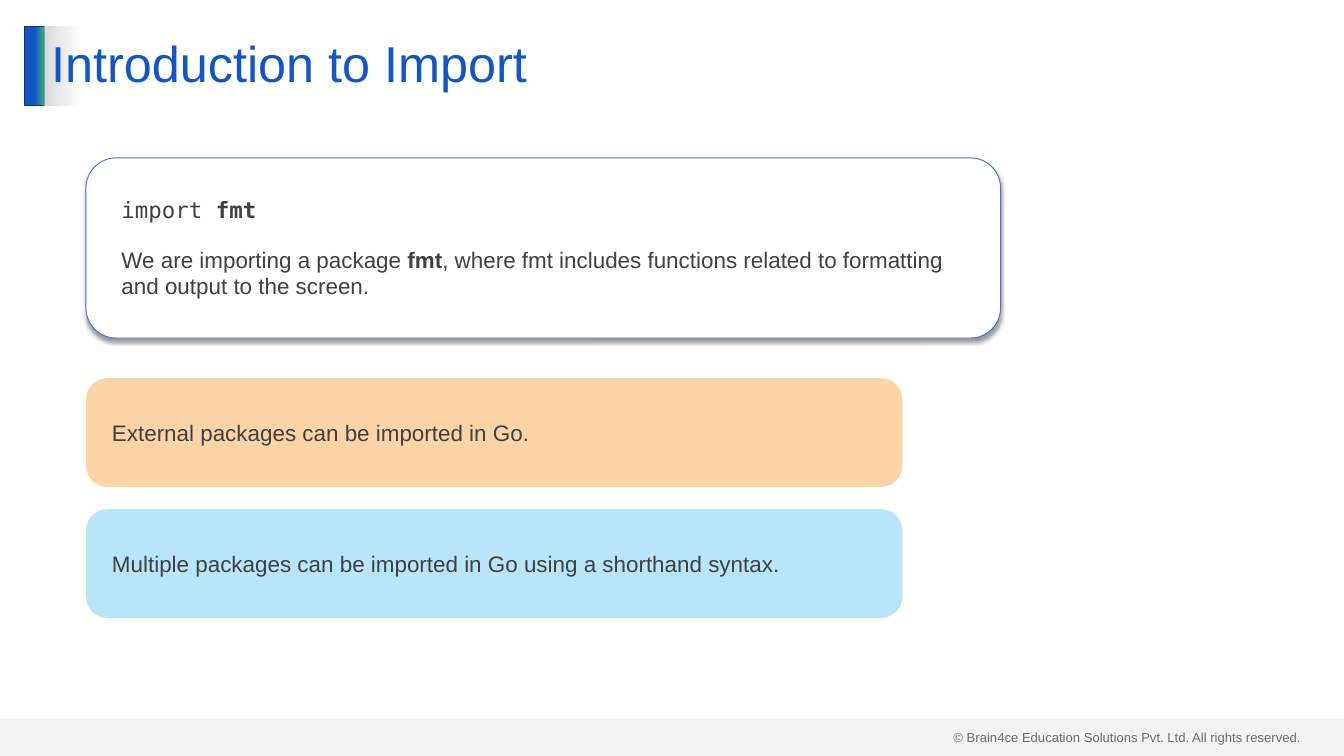
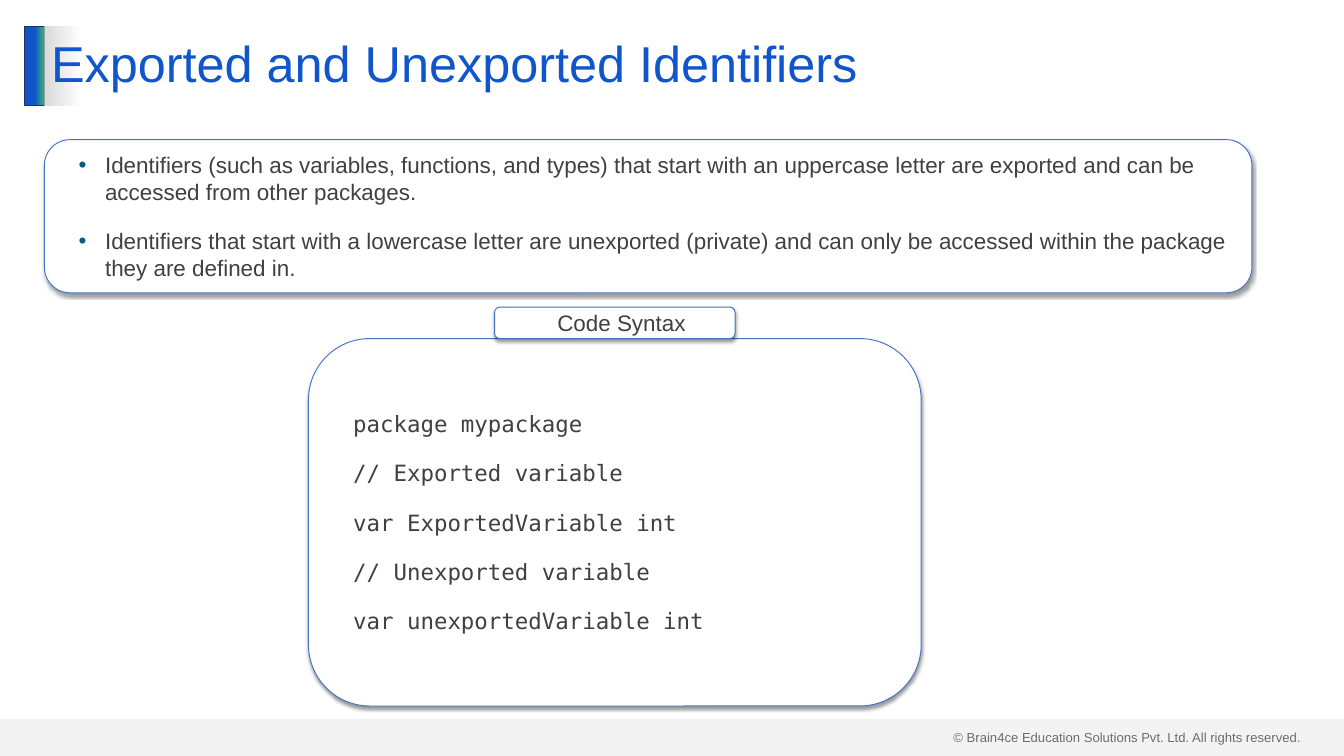
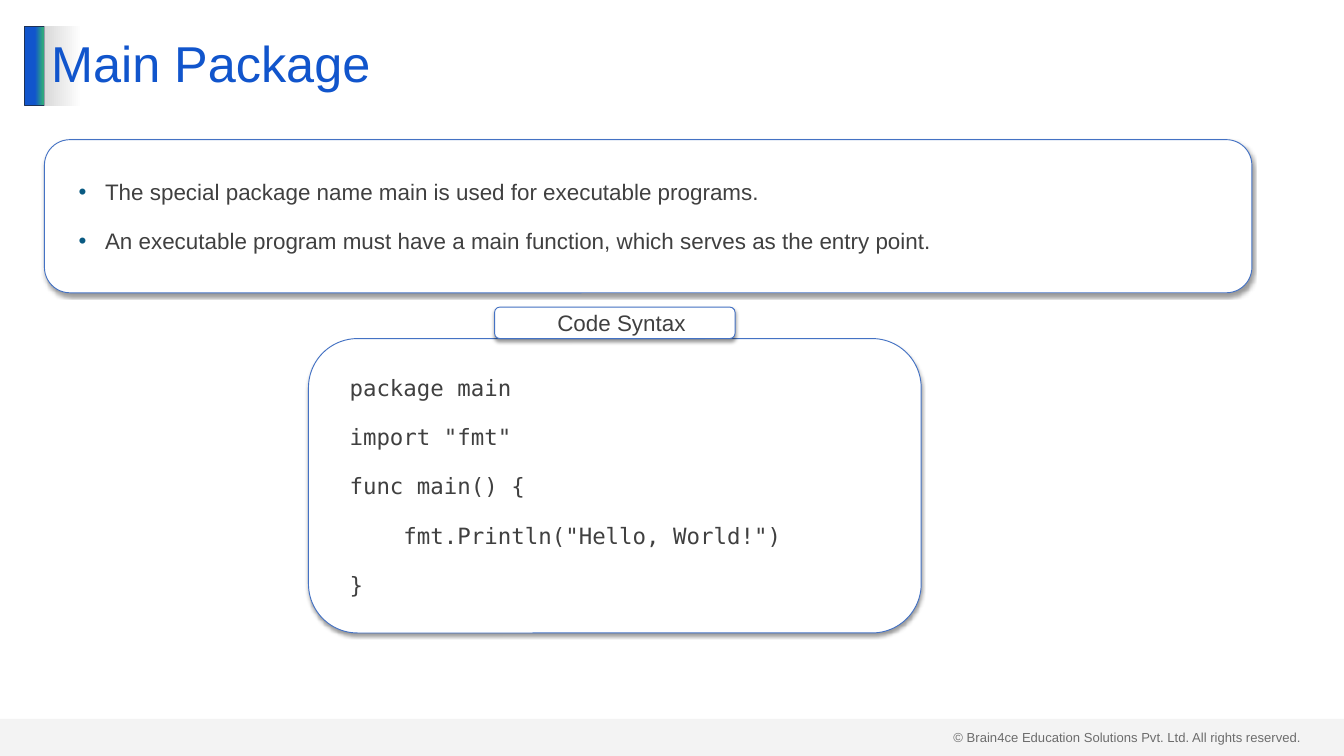
import pptx
import pptx.dml.color
import pptx.enum.shapes
import pptx.enum.text
import pptx.oxml.ns
import pptx.util
from lxml import etree

Cm, Pt = pptx.util.Cm, pptx.util.Pt
SHAPE = pptx.enum.shapes.MSO_SHAPE
ALIGN = pptx.enum.text.PP_ALIGN
qn = pptx.oxml.ns.qn


class Theme:
    sans, mono = "Arial", "DejaVu Sans Mono"
    title_size, body_size, footer_size, gap = 54, 24, 14, 24
    blue, green, navy = "1155CC", "2EA87D", "1E3256"
    text, grey, white, black = "404040", "D9D9D9", "FFFFFF", "000000"
    outline, bullet = "4472C4", "095A82"
    orange, sky = "FABE79", "94DAF5"


FOOTER = "© Brain4ce Education Solutions Pvt. Ltd. All rights reserved."

INTRO = {
    "title": "Introduction to Import",
    "panel": [
        (Theme.mono, "import **fmt**"),
        (Theme.sans, "We are importing a package **fmt**, where fmt includes functions "
                     "related to formatting and output to the screen."),
    ],
    "cards": [
        (Theme.orange, "External packages can be imported in Go."),
        (Theme.sky, "Multiple packages can be imported in Go using a shorthand syntax."),
    ],
}

CODE_LABEL = "Code Syntax"
CODE_SLIDES = [
    {
        "title": "Exported and Unexported Identifiers",
        "bullets": [
            "Identifiers (such as variables, functions, and types) that start with an "
            "uppercase letter are exported and can be accessed from other packages.",
            "Identifiers that start with a lowercase letter are unexported (private) and "
            "can only be accessed within the package they are defined in.",
        ],
        "code": [
            "package mypackage",
            "// Exported variable",
            "var ExportedVariable int",
            "// Unexported variable",
            "var unexportedVariable int",
        ],
        "code_height": 13.89,
    },
    {
        "title": "Main Package",
        "bullets": [
            "The special package name main is used for executable programs.",
            "An executable program must have a main function, which serves as the entry point.",
        ],
        "code": [
            "package main",
            'import "fmt"',
            "func main() {",
            '    fmt.Println("Hello, World!")',
            "}",
        ],
        "code_height": 11.13,
    },
]


def rgb(color):
    return pptx.dml.color.RGBColor.from_string(color)


def child(parent, tag, **attrs):
    return etree.SubElement(parent, qn(tag), {k: str(v) for k, v in attrs.items()})


def write(sp, paras, size=Theme.body_size, color=Theme.text, align=ALIGN.LEFT,
          indent=0, bullet=False, spacing=None, inset=(0.25, 0.13)):
    tf = sp.text_frame
    tf.word_wrap = True
    tf.auto_size = pptx.enum.text.MSO_AUTO_SIZE.NONE
    tf.vertical_anchor = pptx.enum.text.MSO_ANCHOR.MIDDLE
    tf.margin_left = tf.margin_right = Cm(inset[0])
    tf.margin_top = tf.margin_bottom = Cm(inset[1])
    for i, (font, text) in enumerate(paras):
        p = tf.add_paragraph() if i else tf.paragraphs[0]
        pPr = p._p.get_or_add_pPr()
        pPr.set("marL", str(Cm(indent)))
        pPr.set("indent", str(Cm(-1 if bullet else 0)))
        if bullet:
            child(child(pPr, "a:buClr"), "a:srgbClr", val=Theme.bullet)
            child(pPr, "a:buFont", typeface=Theme.sans)
            child(pPr, "a:buChar", char="•")
        p.alignment = align
        p.space_before = Pt(Theme.gap if i else 0)
        if spacing:
            p.line_spacing = spacing
        for j, part in enumerate(text.split("**")):
            if part:
                r = p.add_run()
                r.text = part
                r.font.name, r.font.size = font, Pt(size)
                r.font.bold = j % 2 == 1
                r.font.color.rgb = rgb(color)


def gradient(sp, stops):
    sp.fill.gradient()
    sp.fill.gradient_angle = 0
    for stop, (position, color) in zip(sp.fill.gradient_stops, stops):
        stop.position = position
        stop.color.rgb = rgb(color)


def add_box(s, kind, box, fill=Theme.white, line=None, alpha=None):
    sp = s.shapes.add_shape(kind, *map(Cm, box))
    sp.shadow.inherit = False
    sp.fill.solid()
    sp.fill.fore_color.rgb = rgb(fill)
    if alpha:
        child(sp._element.spPr.find(".//" + qn("a:srgbClr")), "a:alpha", val=alpha * 1000)
    if line:
        sp.line.color.rgb = rgb(line)
        sp.line.width = Pt(1)
    else:
        sp.line.fill.background()
    return sp


def add_panel(s, box, paras, **fmt):
    sp = add_box(s, SHAPE.ROUNDED_RECTANGLE, box, line=Theme.outline)
    shadow = child(sp._element.spPr.find(qn("a:effectLst")), "a:outerShdw", blurRad=Pt(4),
                   dist=Pt(3), dir=90 * 60000, rotWithShape=0)
    child(child(shadow, "a:srgbClr", val=Theme.black), "a:alpha", val=40000)
    write(sp, paras, inset=(0.51, 0.25), **fmt)


def add_card(s, box, color, text):
    sp = add_box(s, SHAPE.ROUNDED_RECTANGLE, box, fill=color, alpha=66)
    sp.adjustments[0] = 0.195
    write(sp, [(Theme.sans, text)], indent=0.5)


def furnish_layout(s):
    footer = s.shapes.add_textbox(Cm(35.79), Cm(27.43), Cm(13.74), Cm(0.86))
    write(footer, [(Theme.sans, FOOTER)], size=Theme.footer_size)
    bar = add_box(s, SHAPE.RECTANGLE, (0.94, 0.99, 0.76, 3), line=Theme.navy)
    gradient(bar, [(0.51, Theme.blue), (0.9, Theme.green)])
    band = add_box(s, SHAPE.RECTANGLE, (0, 27.18, 50.8, 1.4), fill=Theme.grey, alpha=29)
    for sp in (footer, bar, band):
        s.slide_layout.shapes.element.append(sp._element)


def add_slide(prs, title):
    s = prs.slides.add_slide(prs.slide_layouts[5])
    sp = s.shapes.title
    sp.left, sp.top, sp.width, sp.height = map(Cm, (1.68, 0.99, 47.42, 3))
    gradient(sp, [(0, Theme.grey), (0.03, Theme.white)])
    write(sp, [(Theme.sans, title)], size=Theme.title_size, color=Theme.blue, spacing=0.9)
    return s


def build_intro(prs):
    s = add_slide(prs, INTRO["title"])
    furnish_layout(s)
    left, top, height, pitch = 3.25, 14.3, 4.11, 4.95
    add_panel(s, (left, 5.97, 34.57, 6.81), INTRO["panel"], indent=0.5)
    for i, (color, text) in enumerate(INTRO["cards"]):
        add_card(s, (left, top + i * pitch, 30.86, height), color, text)


def build_code_slide(prs, content):
    s = add_slide(prs, content["title"])
    left, top, width = 11.66, 12.8, 23.16
    label_width, label_height = 9.09, 1.19
    add_panel(s, (left, top, width, content["code_height"]),
              [(Theme.mono, line) for line in content["code"]], indent=0.5)
    add_panel(s, (left + (width - label_width) / 2, top - label_height, label_width, label_height),
              [(Theme.sans, CODE_LABEL)], align=ALIGN.CENTER, indent=0.5)
    add_panel(s, (1.68, 5.28, 45.64, 5.79),
              [(Theme.sans, text) for text in content["bullets"]], indent=1.5, bullet=True)


def main():
    prs = pptx.Presentation()
    prs.slide_width, prs.slide_height = Cm(50.8), Cm(28.58)
    build_intro(prs)
    for content in CODE_SLIDES:
        build_code_slide(prs, content)
    prs.save("out.pptx")


if __name__ == "__main__":
    main()
